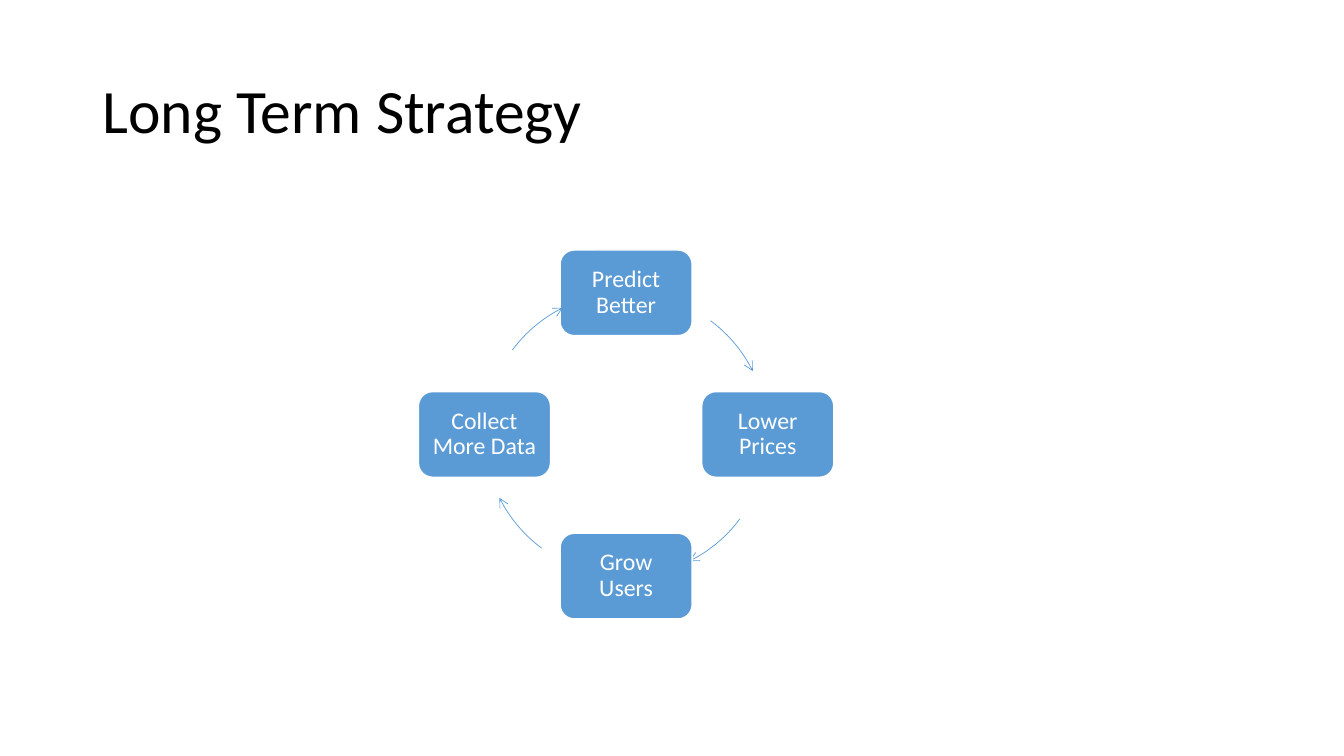
"""Build the long term strategy cycle slide."""
from dataclasses import dataclass
from math import cos, radians, sin

from lxml import etree
from pptx import Presentation
from pptx import util as u
from pptx.dml.color import RGBColor
from pptx.enum import shapes, text
from pptx.oxml.ns import qn

HUES = {"ink": "000000", "blue": "5B9BD5", "white": "FFFFFF"}
FONT = "Calibri"
MID_X, MID_Y, RADIUS = 6.21, 4.31, 1.405
BOX_W, BOX_H = 1.31, 0.85
GAP, SWEEP = 36.6, 26.8


@dataclass
class Step:
    label: str
    angle: int


STEPS = [
    Step("Predict Better", 270),
    Step("Lower Prices", 0),
    Step("Grow Users", 90),
    Step("Collect More Data", 180),
]


def hue(name: str) -> RGBColor:
    return RGBColor.from_string(HUES[name])


def write(shape, words: str, size: int, color: str, align) -> None:
    frame = shape.text_frame
    frame.word_wrap = True
    frame.vertical_anchor = text.MSO_ANCHOR.MIDDLE
    para = frame.paragraphs[0]
    para.alignment = align
    para.line_spacing = 0.9
    run = para.add_run()
    run.text = words
    run.font.name = FONT
    run.font.size = u.Pt(size)
    run.font.color.rgb = hue(color)


def add_box(slide, step: Step) -> None:
    turn = radians(step.angle)
    left = MID_X + RADIUS * cos(turn) - BOX_W / 2
    top = MID_Y + RADIUS * sin(turn) - BOX_H / 2
    box = slide.shapes.add_shape(
        shapes.MSO_SHAPE.ROUNDED_RECTANGLE,
        u.Inches(left), u.Inches(top), u.Inches(BOX_W), u.Inches(BOX_H))
    box.shadow.inherit = False
    box.fill.solid()
    box.fill.fore_color.rgb = hue("blue")
    box.line.color.rgb = hue("white")
    box.line.width = u.Pt(1)
    frame = box.text_frame
    frame.margin_left = frame.margin_right = u.Inches(0.08)
    frame.margin_top = frame.margin_bottom = u.Inches(0.07)
    write(box, step.label, 17, "white", text.PP_ALIGN.CENTER)


def add_arc(slide, step: Step) -> None:
    side = u.Inches(2 * RADIUS)
    arc = slide.shapes.add_shape(
        shapes.MSO_SHAPE.ARC,
        u.Inches(MID_X - RADIUS), u.Inches(MID_Y - RADIUS), side, side)
    start = step.angle + GAP
    for i, angle in enumerate((start, start + SWEEP)):
        arc.adjustments[i] = angle * 60000 / 100000
    arc.shadow.inherit = False
    arc.fill.background()
    arc.line.color.rgb = hue("blue")
    arc.line.width = u.Pt(0.5)
    line = arc.line._get_or_add_ln()
    etree.SubElement(line, qn("a:tailEnd"), type="arrow")


def main() -> None:
    deck = Presentation()
    deck.slide_width, deck.slide_height = u.Inches(13.33), u.Inches(7.5)
    slide = deck.slides.add_slide(deck.slide_layouts[6])
    title = slide.shapes.add_textbox(
        u.Inches(0.92), u.Inches(0.4), u.Inches(11.5), u.Inches(1.45))
    write(title, "Long Term Strategy", 44, "ink", text.PP_ALIGN.LEFT)
    for step in STEPS:
        add_box(slide, step)
        add_arc(slide, step)
    deck.save("out.pptx")


main()
